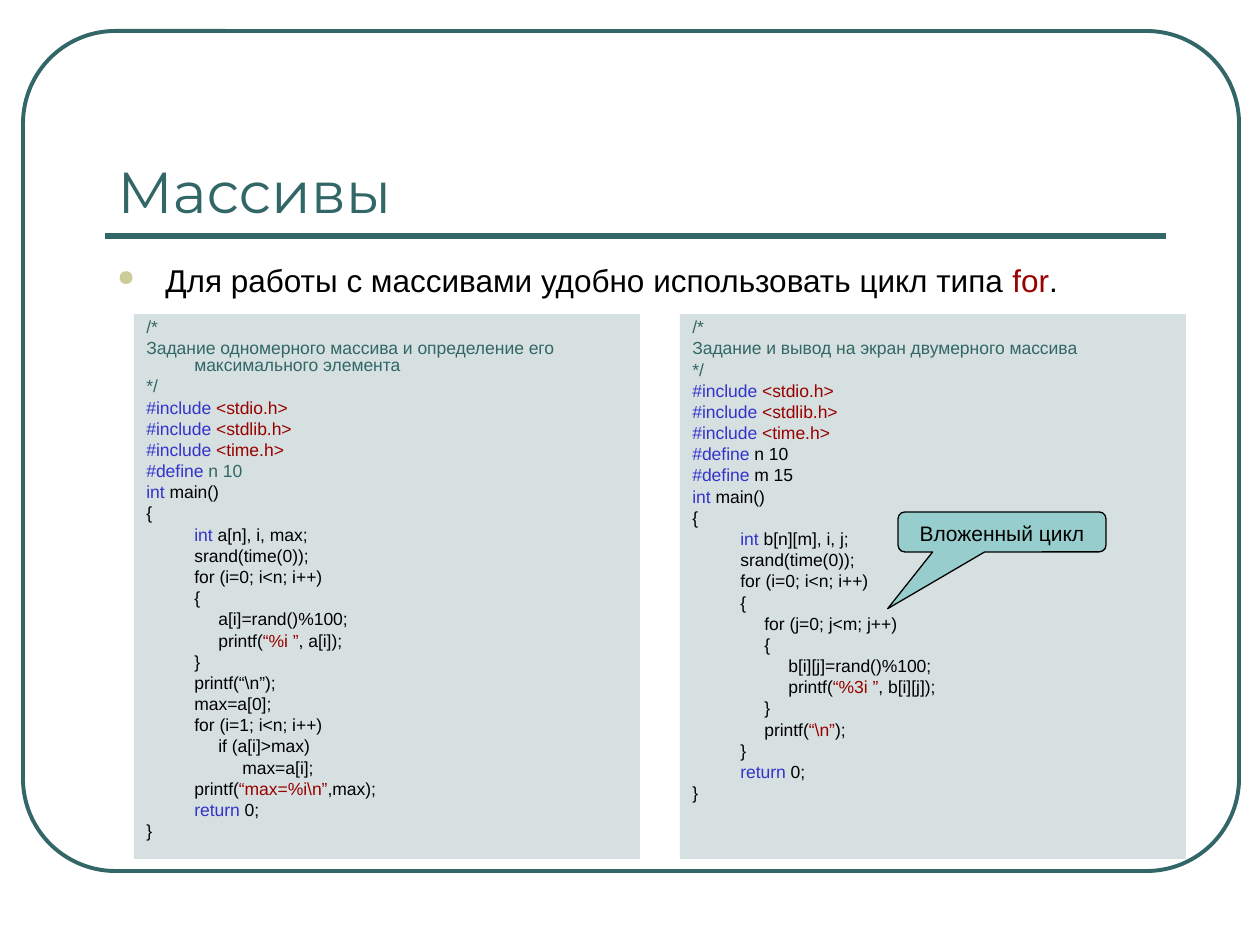
from lxml.etree import SubElement
from pptx import Presentation
from pptx.dml.color import RGBColor
from pptx.enum.shapes import MSO_CONNECTOR, MSO_SHAPE
from pptx.enum.text import MSO_ANCHOR, PP_ALIGN
from pptx.oxml.ns import qn
from pptx.util import Pt

EMU_PER_PX = 914400 / 126
SLIDE_WIDTH, SLIDE_HEIGHT = 1260, 945

TEAL = RGBColor(0x33, 0x66, 0x66)
BLACK = RGBColor(0x00, 0x00, 0x00)
RED = RGBColor(0x99, 0x00, 0x00)
BLUE = RGBColor(0x33, 0x33, 0xCC)
SAND = RGBColor(0xCC, 0xCC, 0x99)
PANEL_GREY = RGBColor(0xD6, 0xE0, 0xE0)
CALLOUT_AQUA = RGBColor(0x97, 0xCD, 0xCC)

HANGING = 48  # hanging indent of bullets and wrapped code
CODE_STEP = 24  # further indent of each nested code level

# Each code line is (level, run, run, ...); a run is text or (text, colour)
INCLUDES = [(0, ("#include ", BLUE), (f"<{header}>", RED))
            for header in ("stdio.h", "stdlib.h", "time.h")]
MAIN_START = [(0, ("int", BLUE), " main()"), (0, "{")]
MAIN_END = [(1, ("return", BLUE), " 0;"), (0, "}")]
FILL_START = [(1, "srand(time(0));"), (1, "for (i=0; i<n; i++)"), (1, "{")]


def comment(text):
    return [(0, (line, TEAL)) for line in ("/*", text, "*/")]


ONE_DIMENSIONAL = [
    *comment("Задание одномерного массива и определение его максимального элемента"),
    *INCLUDES,
    (0, ("#define ", BLUE), ("n 10", TEAL)),
    *MAIN_START,
    (1, ("int ", BLUE), "a[n], i, max;"),
    *FILL_START,
    (2, "a[i]=rand()%100;"),
    (2, "printf(", ("“%i ”", RED), ", a[i]);"),
    (1, "}"),
    (1, "printf(“\\n”);"),
    (1, "max=a[0];"),
    (1, "for (i=1; i<n; i++)"),
    (2, "if (a[i]>max)"),
    (3, "max=a[i];"),
    (1, "printf(", ("“max=%i\\n”", RED), ",max);"),
    *MAIN_END,
]

TWO_DIMENSIONAL = [
    *comment("Задание и вывод на экран двумерного массива"),
    *INCLUDES,
    (0, ("#define ", BLUE), "n 10"),
    (0, ("#define ", BLUE), "m 15"),
    *MAIN_START,
    (1, ("int ", BLUE), "b[n][m], i, j;"),
    *FILL_START,
    (2, "for (j=0; j<m; j++)"),
    (2, "{"),
    (3, "b[i][j]=rand()%100;"),
    (3, "printf(", ("“%3i ”", RED), ", b[i][j]);"),
    (2, "}"),
    (2, "printf(", ("“\\n”", RED), ");"),
    (1, "}"),
    *MAIN_END,
]


def px(length):
    return round(length * EMU_PER_PX)


def write_text(paragraph, *runs, size, font="Arial", color=BLACK, align=PP_ALIGN.LEFT,
               margin=0, indent=0, line_spacing=None, space_before=0):
    paragraph.alignment = align
    paragraph.line_spacing = line_spacing
    paragraph.space_before = Pt(space_before)
    properties = paragraph._p.get_or_add_pPr()
    properties.set("marL", str(px(margin)))
    properties.set("indent", str(px(indent)))
    for item in runs:
        text, run_color = item if isinstance(item, tuple) else (item, color)
        run = paragraph.add_run()
        run.text = text
        run.font.size = Pt(size)
        run.font.name = font
        run.font.color.rgb = run_color


def add_box(slide, preset, box, fill=None, line=None, line_width=1):
    shape = slide.shapes.add_shape(preset, *map(px, box))
    shape.shadow.inherit = False
    if fill is None:
        shape.fill.background()
    else:
        shape.fill.solid()
        shape.fill.fore_color.rgb = fill
    if line is None:
        shape.line.fill.background()
    else:
        shape.line.color.rgb = line
        shape.line.width = Pt(line_width)
    shape.text_frame.word_wrap = True
    shape.text_frame.vertical_anchor = MSO_ANCHOR.TOP
    return shape


def add_text_frame(slide, box, anchor=MSO_ANCHOR.TOP):
    frame = slide.shapes.add_textbox(*map(px, box)).text_frame
    frame.word_wrap = True
    frame.vertical_anchor = anchor
    return frame


def add_frame(slide, box):
    shape = add_box(slide, MSO_SHAPE.ROUNDED_RECTANGLE, box, line=TEAL, line_width=2.25)
    shape.adjustments[0] = 0.11


def add_title(slide, box):
    left, top, width, height = box
    frame = add_text_frame(slide, box, anchor=MSO_ANCHOR.BOTTOM)
    write_text(frame.paragraphs[0], "Массивы", size=33, font="Montserrat", color=TEAL)
    # Rule under the title
    rule_top = px(top + height + 5)
    rule = slide.shapes.add_connector(MSO_CONNECTOR.STRAIGHT, px(left), rule_top,
                                      px(left + width), rule_top)
    rule.line.color.rgb = TEAL
    rule.line.width = Pt(3)
    SubElement(rule._element.spPr, qn("a:effectLst"))


def add_statement(slide, box):
    paragraph = add_text_frame(slide, box).paragraphs[0]
    write_text(paragraph, "Для работы с массивами удобно использовать цикл типа ",
               ("for", RED), ".", size=18, margin=HANGING, indent=-HANGING,
               line_spacing=0.8, space_before=4.5)
    # Round bullet
    properties = paragraph._p.get_or_add_pPr()
    bullet_color = SubElement(properties, qn("a:buClr"))
    SubElement(bullet_color, qn("a:srgbClr"), val=str(SAND))
    SubElement(properties, qn("a:buSzPct"), val="70000")
    SubElement(properties, qn("a:buChar"), char="●")


def add_code_panel(slide, box, lines):
    frame = add_box(slide, MSO_SHAPE.RECTANGLE, box, fill=PANEL_GREY).text_frame
    for index, (level, *runs) in enumerate(lines):
        paragraph = frame.add_paragraph() if index else frame.paragraphs[0]
        write_text(paragraph, *runs, size=10, line_spacing=0.8, space_before=2.5,
                   margin=HANGING + CODE_STEP * max(level - 1, 0),
                   indent=0 if level else -HANGING)


def add_callout(slide, box):
    shape = add_box(slide, MSO_SHAPE.ROUNDED_RECTANGULAR_CALLOUT, box,
                    fill=CALLOUT_AQUA, line=BLACK, line_width=0.75)
    for index, value in enumerate((-0.55, 1.92, 0.17)):
        shape.adjustments[index] = value
    write_text(shape.text_frame.paragraphs[0], "Вложенный цикл", size=12,
               align=PP_ALIGN.CENTER)


def main():
    presentation = Presentation()
    presentation.slide_width = px(SLIDE_WIDTH)
    presentation.slide_height = px(SLIDE_HEIGHT)
    slide = presentation.slides.add_slide(presentation.slide_layouts[6])

    add_frame(slide, (23, 31, 1216, 840))
    add_title(slide, (105, 73, 1061, 158))
    add_statement(slide, (105, 262, 1061, 62))
    for column, lines in enumerate((ONE_DIMENSIONAL, TWO_DIMENSIONAL)):
        add_code_panel(slide, (134 + 546 * column, 314, 506, 545), lines)
    add_callout(slide, (898, 512, 208, 40))

    presentation.save("out.pptx")


if __name__ == "__main__":
    main()
